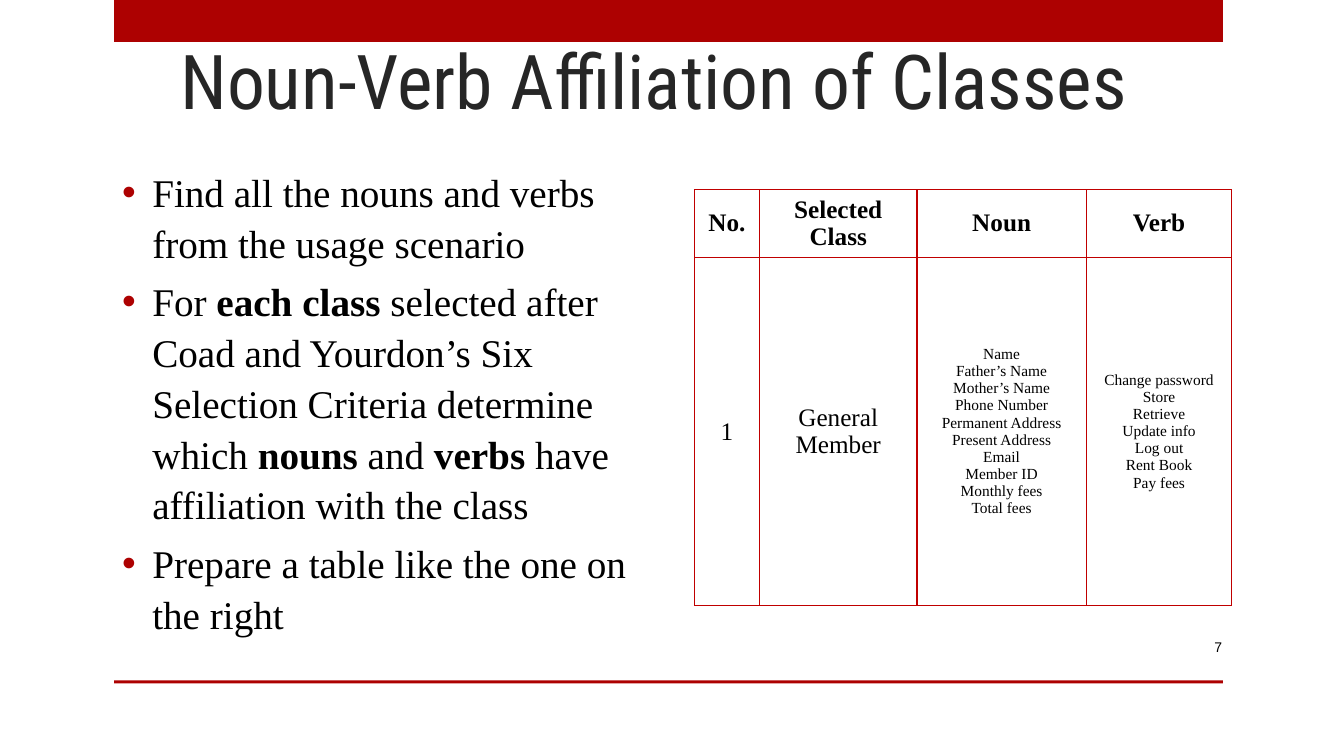
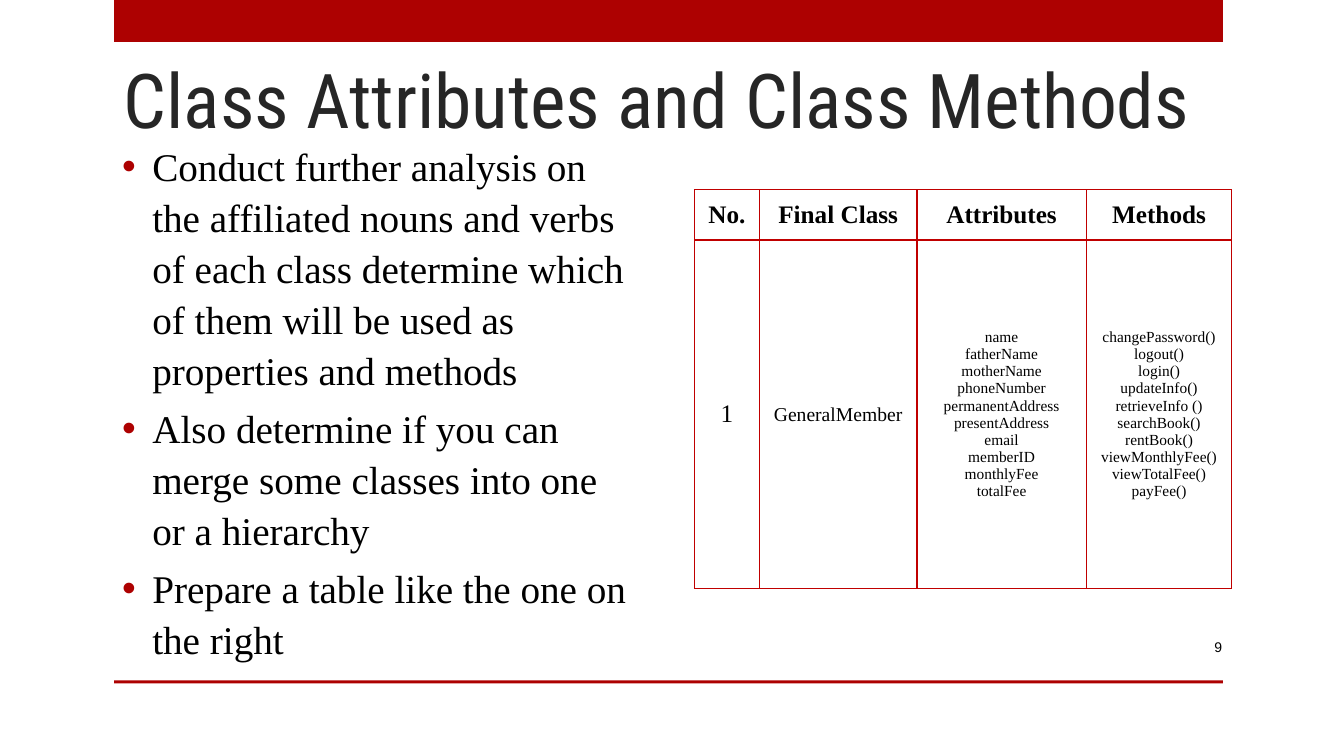
from dataclasses import dataclass

from lxml import etree
from pptx import Presentation
from pptx.dml.color import RGBColor
from pptx.enum import shapes, text
from pptx.oxml import ns
from pptx.util import Pt


@dataclass(frozen=True)
class Theme:
    band: str = "AD0101"
    border: str = "C00000"
    heading: str = "262626"
    ink: str = "000000"
    paper: str = "FFFFFF"
    title_font: str = "Roboto Condensed"
    body_font: str = "Times New Roman"
    number_font: str = "Arial"
    title_size: int = 54
    body_size: int = 28
    cell_size: int = 18
    name_size: int = 14
    list_size: int = 11
    number_size: int = 10


THEME = Theme()

# Left, top, width and height in points
BANDS = [(81.6, 0, 792, 30), (81.6, 486, 792, 2.2)]
BODY_BOX = (80, 91.5, 384, 389.5)
NUMBER_BOX = (800, 448, 80, 28.8)
TABLE_BOX = (496, 135.5, 384, 285)
COLUMN_WIDTHS = (46.5, 112.5, 121, 104)
ROW_HEIGHTS = (36, 249)

# Text between double asterisks is bold
SLIDES = [
    {
        "number": "7",
        "title": "Noun-Verb Affiliation of Classes",
        "title_box": (123.8, 22.3, 711.4, 69),
        "bullets": [
            "Find all the nouns and verbs from the usage scenario",
            "For **each class** selected after Coad and Yourdon’s Six Selection "
            "Criteria determine which **nouns** and **verbs** have affiliation "
            "with the class",
            "Prepare a table like the one on the right",
        ],
        "headers": ["No.", "Selected Class", "Noun", "Verb"],
        "class_name": "General Member",
        "class_size": THEME.cell_size,
        "lists": [
            ["Name", "Father’s Name", "Mother’s Name", "Phone Number",
             "Permanent Address", "Present Address", "Email", "Member ID",
             "Monthly fees", "Total fees"],
            ["Change password", "Store", "Retrieve", "Update info", "Log out",
             "Rent Book", "Pay fees"],
        ],
    },
    {
        "number": "9",
        "title": "Class Attributes and Class Methods",
        "title_box": (83.5, 36, 792, 69),
        "bullets": [
            "Conduct further analysis on the affiliated nouns and verbs of each "
            "class determine which of them will be used as properties and methods",
            "Also determine if you can merge some classes into one or a hierarchy",
            "Prepare a table like the one on the right",
        ],
        "headers": ["No.", "Final Class", "Attributes", "Methods"],
        "class_name": "GeneralMember",
        "class_size": THEME.name_size,
        "lists": [
            ["name", "fatherName", "motherName", "phoneNumber",
             "permanentAddress", "presentAddress", "email", "memberID",
             "monthlyFee", "totalFee"],
            ["changePassword()", "logout()", "login()", "updateInfo()",
             "retrieveInfo ()", "searchBook()", "rentBook()",
             "viewMonthlyFee()", "viewTotalFee()", "payFee()"],
        ],
    },
]


def rgb(value):
    return RGBColor.from_string(value)


def points(box):
    return [Pt(length) for length in box]


def place(shape, box):
    shape.left, shape.top, shape.width, shape.height = points(box)


def add_run(para, words, size, font=THEME.body_font, color=THEME.ink, bold=False):
    span = para.add_run()
    span.text = words
    span.font.name, span.font.size, span.font.bold = font, Pt(size), bold
    span.font.color.rgb = rgb(color)


def paragraphs(frame, count):
    """Return the frame's first paragraph followed by new ones."""
    return [frame.paragraphs[0]] + [frame.add_paragraph() for _ in range(count - 1)]


def add_bands(slide):
    """Draw the red bands and move them to the slide's layout."""
    for box in BANDS:
        band = slide.shapes.add_shape(shapes.MSO_SHAPE.RECTANGLE, *points(box))
        band.shadow.inherit = False
        band.fill.solid()
        band.fill.fore_color.rgb = rgb(THEME.band)
        band.line.fill.background()
        slide.slide_layout.shapes.element.append(band.element)


def fill_title(title, words, box):
    place(title, box)
    frame = title.text_frame
    frame.auto_size = text.MSO_AUTO_SIZE.NONE
    frame.word_wrap = True
    frame.vertical_anchor = text.MSO_ANCHOR.MIDDLE
    frame.margin_left = frame.margin_right = Pt(5)
    frame.margin_top = frame.margin_bottom = Pt(2.5)
    para = frame.paragraphs[0]
    para.alignment = text.PP_ALIGN.LEFT
    add_run(para, words, THEME.title_size, THEME.title_font, THEME.heading)


def set_bullet(para):
    props = para._p.get_or_add_pPr()
    props.set("marL", str(Pt(21.6)))
    props.set("indent", str(Pt(-21.6)))
    color = etree.SubElement(props, ns.qn("a:buClr"))
    etree.SubElement(color, ns.qn("a:srgbClr"), val=THEME.band)
    etree.SubElement(props, ns.qn("a:buFont"), typeface="Arial")
    etree.SubElement(props, ns.qn("a:buChar"), char="•")


def fill_body(body, bullets):
    place(body, BODY_BOX)
    frame = body.text_frame
    frame.auto_size = text.MSO_AUTO_SIZE.NONE
    frame.vertical_anchor = text.MSO_ANCHOR.MIDDLE
    for index, (para, bullet) in enumerate(zip(paragraphs(frame, len(bullets)), bullets)):
        set_bullet(para)
        para.alignment = text.PP_ALIGN.LEFT
        para.line_spacing = 1.08
        para.space_before = Pt(THEME.body_size * 0.2 if index else 0)
        for part, words in enumerate(bullet.split("**")):
            add_run(para, words, THEME.body_size, bold=part % 2 == 1)


def add_number(slide, number):
    box = slide.shapes.add_textbox(*points(NUMBER_BOX))
    frame = box.text_frame
    frame.word_wrap = True
    frame.vertical_anchor = text.MSO_ANCHOR.MIDDLE
    para = frame.paragraphs[0]
    para.alignment = text.PP_ALIGN.RIGHT
    add_run(para, number, THEME.number_size, THEME.number_font)


def set_borders(cell):
    props = cell._tc.get_or_add_tcPr()
    for index, side in enumerate(("lnL", "lnR", "lnT", "lnB")):
        line = etree.Element(ns.qn(f"a:{side}"), w=str(Pt(1)))
        fill = etree.SubElement(line, ns.qn("a:solidFill"))
        etree.SubElement(fill, ns.qn("a:srgbClr"), val=THEME.border)
        props.insert(index, line)


def fill_cell(cell, lines, size, bold):
    cell.fill.solid()
    cell.fill.fore_color.rgb = rgb(THEME.paper)
    cell.vertical_anchor = text.MSO_ANCHOR.MIDDLE
    cell.margin_top = cell.margin_bottom = Pt(2.5)
    cell.margin_left = cell.margin_right = Pt(5)
    set_borders(cell)
    for para, words in zip(paragraphs(cell.text_frame, len(lines)), lines):
        para.alignment = text.PP_ALIGN.CENTER
        add_run(para, words, size, bold=bold)


def add_class_table(slide, content):
    header = [([name], THEME.cell_size, True) for name in content["headers"]]
    entry = [(["1"], THEME.cell_size, False),
             ([content["class_name"]], content["class_size"], False)]
    entry += [(lines, THEME.list_size, False) for lines in content["lists"]]
    rows = [header, entry]
    table = slide.shapes.add_table(len(rows), len(header), *points(TABLE_BOX)).table
    table.first_row = table.horz_banding = False
    for column, width in zip(table.columns, COLUMN_WIDTHS):
        column.width = Pt(width)
    for row, height, cells in zip(table.rows, ROW_HEIGHTS, rows):
        row.height = Pt(height)
        for cell, (lines, size, bold) in zip(row.cells, cells):
            fill_cell(cell, lines, size, bold)


def main():
    deck = Presentation()
    deck.slide_width, deck.slide_height = Pt(960), Pt(540)
    layout = deck.slide_layouts[1]
    for content in SLIDES:
        slide = deck.slides.add_slide(layout)
        if content is SLIDES[0]:
            add_bands(slide)
        fill_title(slide.shapes.title, content["title"], content["title_box"])
        fill_body(slide.placeholders[1], content["bullets"])
        add_number(slide, content["number"])
        add_class_table(slide, content)
    deck.save("out.pptx")


if __name__ == "__main__":
    main()
